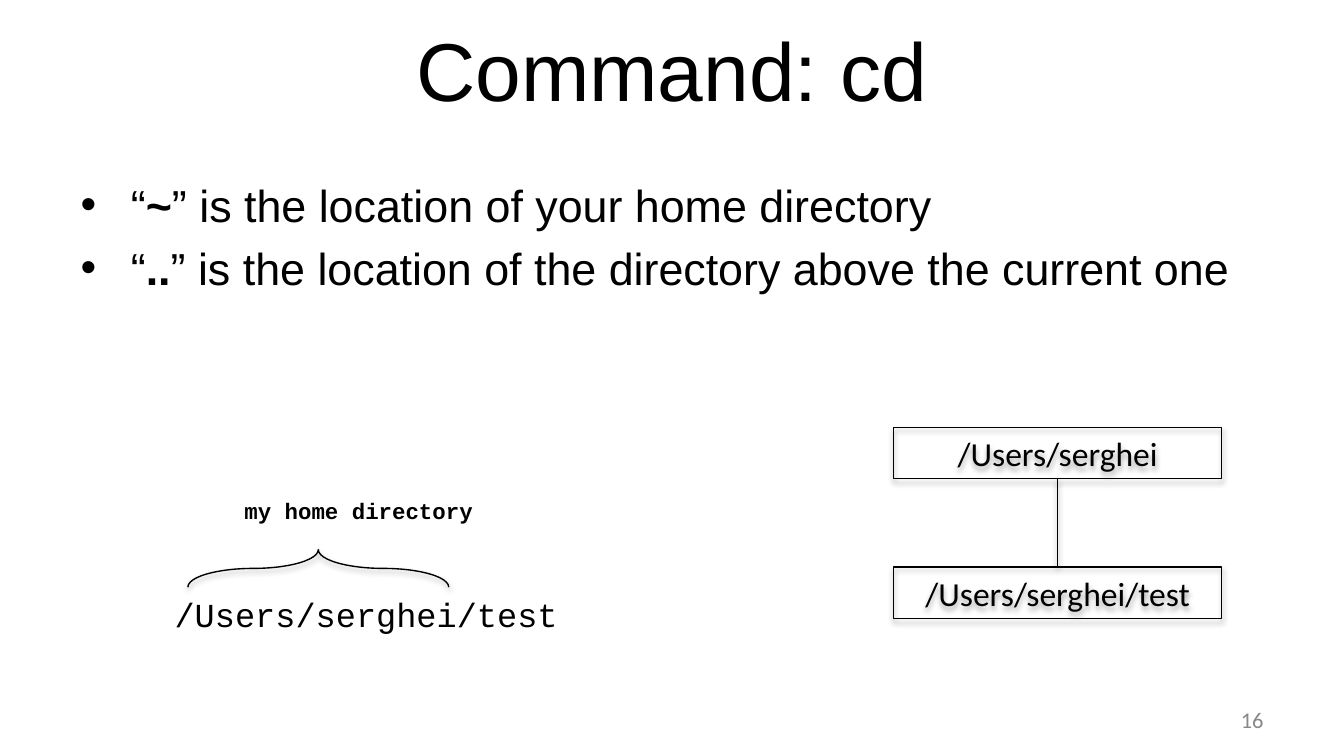
"""Build the slide that explains the cd command and its directory shortcuts."""
from dataclasses import dataclass

from lxml.etree import SubElement
from pptx import Presentation
from pptx.dml.color import RGBColor
from pptx.enum.shapes import MSO_CONNECTOR as Connector, MSO_SHAPE as Shape
from pptx.enum.text import MSO_ANCHOR as Anchor, MSO_AUTO_SIZE as AutoSize, PP_ALIGN as Align
from pptx.oxml.ns import qn
from pptx.util import Cm, Pt


@dataclass(frozen=True)
class Theme:
    ink: RGBColor = RGBColor(0, 0, 0)
    muted: RGBColor = RGBColor(0x88, 0x88, 0x88)
    title: Pt = Pt(44)
    body: Pt = Pt(24)
    label: Pt = Pt(18)
    small: Pt = Pt(12)
    outline: Pt = Pt(0.75)
    heading_font: str = "Arial"
    node_font: str = "Calibri"
    code_font: str = "Courier New"


theme = Theme()


def write(frame, runs, size, face, align=Align.LEFT, anchor=Anchor.TOP, color=theme.ink, paragraph=None):
    frame_format = {"word_wrap": True, "auto_size": AutoSize.NONE, "vertical_anchor": anchor}
    for name, value in frame_format.items():
        setattr(frame, name, value)
    paragraph = paragraph or frame.paragraphs[0]
    paragraph.alignment = align
    for wording, bold in runs:
        run = paragraph.add_run()
        run.text = wording
        for name, value in {"size": size, "name": face, "bold": bold}.items():
            setattr(run.font, name, value)
        run.font.color.rgb = color


def outline(part, distance, opacity):
    part.line.color.rgb = theme.ink
    part.line.width = theme.outline
    effects = SubElement(part._element.spPr, qn("a:effectLst"))
    shadow = SubElement(effects, qn("a:outerShdw"), blurRad=str(Pt(3.1)), dist=str(Pt(distance)),
                        dir="5400000", rotWithShape="0")
    tint = SubElement(shadow, qn("a:srgbClr"), val=str(theme.ink))
    SubElement(tint, qn("a:alpha"), val=str(opacity * 1000))


deck = Presentation()
deck.slide_width, deck.slide_height = Cm(25.4), Cm(14.29)
slide = deck.slides.add_slide(deck.slide_layouts[1])
heading, shortcuts = slide.placeholders
placements = [
    (heading, (1.27, 0.1, 22.86, 2.39)),
    (shortcuts, (1.27, 3.23, 22.86, 3.63)),
]
for placeholder, place in placements:
    for name, value in zip(("left", "top", "width", "height"), place):
        setattr(placeholder, name, Cm(value))

write(heading.text_frame, [("Command: cd", False)], theme.title, theme.heading_font,
      Align.CENTER, Anchor.MIDDLE)

meanings = [
    ("~", "” is the location of your home directory"),
    ("..", "” is the location of the directory above the current one"),
]
for index, (symbol, meaning) in enumerate(meanings):
    frame = shortcuts.text_frame
    item = frame.add_paragraph() if index else frame.paragraphs[0]
    properties = item._p.get_or_add_pPr()
    properties.set("marL", str(Cm(0.95)))
    properties.set("indent", str(-Cm(0.95)))
    SubElement(properties, qn("a:buChar"), char="•")
    item.space_before = Pt(4.8 * index)
    write(frame, [("“", False), (symbol, True), (meaning, False)], theme.body,
          theme.heading_font, paragraph=item)

node_left, node_top, node_width, node_height, node_step = 16.89, 8.08, 6.2, 0.97, 2.64
for index, directory in enumerate(["/Users/serghei", "/Users/serghei/test"]):
    node = slide.shapes.add_shape(Shape.RECTANGLE, Cm(node_left), Cm(node_top + index * node_step),
                                  Cm(node_width), Cm(node_height))
    node.fill.background()
    outline(node, 1.8, 35)
    write(node.text_frame, [(directory, False)], theme.label, theme.node_font,
          Align.CENTER, Anchor.MIDDLE)

branch_x = Cm(node_left + node_width / 2)
branch = slide.shapes.add_connector(Connector.STRAIGHT, branch_x, Cm(node_top + node_height),
                                    branch_x, Cm(node_top + node_step))
outline(branch, 1.6, 37)

home_brace = slide.shapes.add_shape(Shape.LEFT_BRACE, Cm(5.66), Cm(8.28), Cm(0.71), Cm(4.93))
home_brace.rotation = 90
home_brace.adjustments[0] = 1.77
home_brace.fill.background()
outline(home_brace, 1.6, 37)

captions = [
    ("/Users/serghei/test", (3.05, 11.1, 10.52, 0.76),
     {"size": theme.label, "face": theme.code_font}, False),
    ("my home directory", (4.37, 9.27, 4.88, 0.58),
     {"size": theme.small, "face": theme.code_font}, True),
    ("16", (18.21, 13.23, 5.92, 0.76),
     {"size": theme.small, "face": theme.node_font, "align": Align.RIGHT,
      "anchor": Anchor.MIDDLE, "color": theme.muted}, False),
]
for wording, place, text_format, bold in captions:
    caption = slide.shapes.add_textbox(*map(Cm, place))
    write(caption.text_frame, [(wording, bold)], **text_format)

deck.save("out.pptx")
